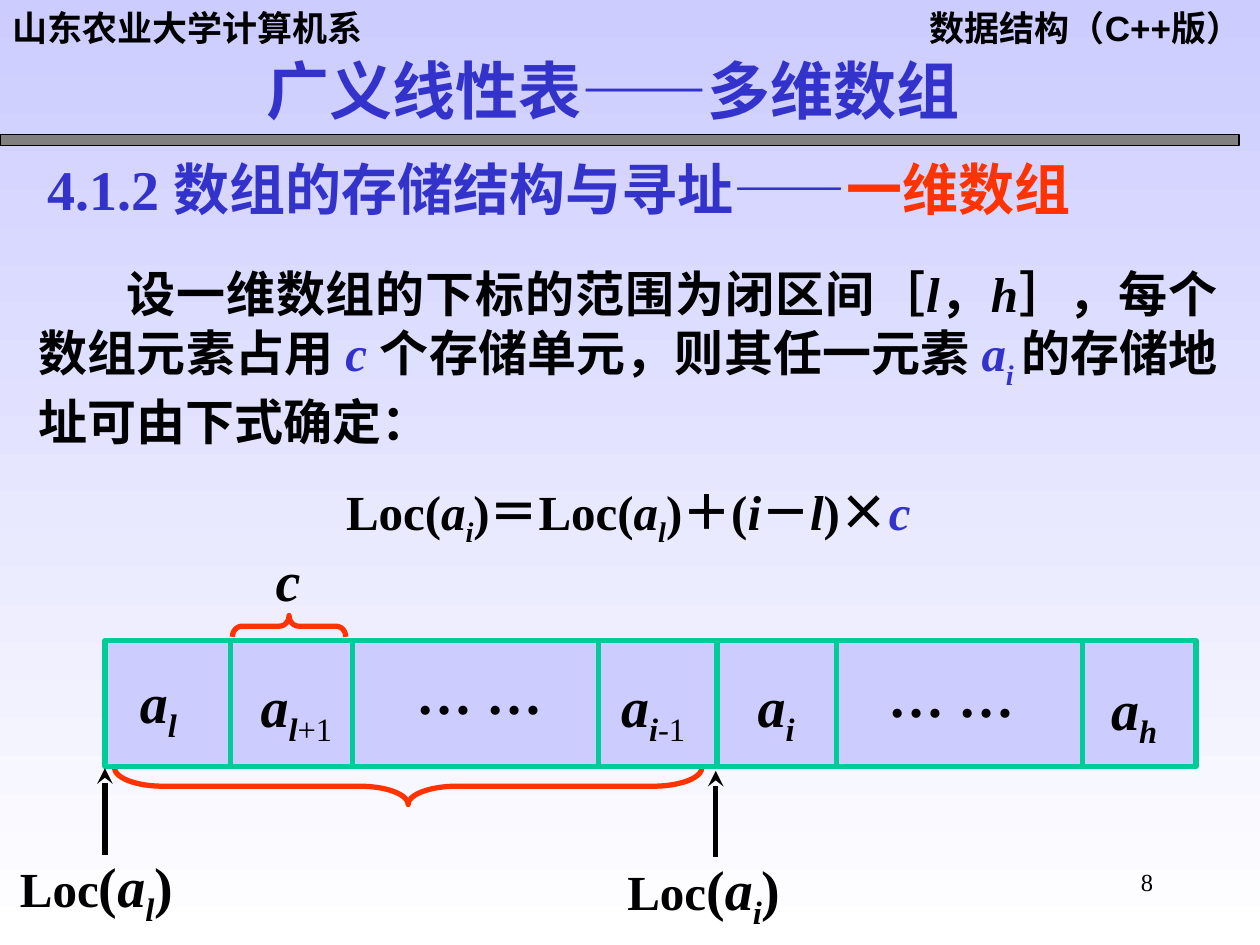
from dataclasses import dataclass

from lxml.etree import SubElement
from pptx import Presentation
from pptx.dml.color import RGBColor
from pptx.enum.shapes import MSO_CONNECTOR, MSO_SHAPE
from pptx.enum.text import MSO_ANCHOR, MSO_AUTO_SIZE, PP_ALIGN
from pptx.oxml import parse_xml
from pptx.oxml.ns import nsdecls, qn
from pptx.util import Pt


@dataclass(frozen=True)
class Theme:
    """Colours, fonts and type sizes of the page."""

    ink: str = "000000"
    blue: str = "3333CC"
    red: str = "FF3300"
    teal: str = "00CC99"
    lilac: str = "CCCCFF"
    white: str = "FFFFFF"
    grey: str = "808080"
    serif: str = "Times New Roman"
    sans: str = "Arial"
    chinese: str = "Noto Sans CJK SC"
    comic: str = "Comic Neue"
    number: int = 14
    header: int = 20
    body: int = 28
    large: int = 32
    title: int = 36
    line: int = 3


THEME = Theme()


@dataclass(frozen=True)
class Span:
    """A piece of text with one format."""

    text: str
    size: int = THEME.body
    font: str = THEME.serif
    color: str = THEME.ink
    bold: bool = True
    italic: bool = False
    baseline: int = 0


def variable(name, index="", size=THEME.body, color=THEME.ink, drop=-25):
    """Return an italic variable with an optional subscript."""
    spans = [Span(name, size, color=color, italic=True)]
    if index:
        spans.append(Span(index, size, color=color, italic=True, baseline=drop))
    return spans


def fill_para(para, spans, align=PP_ALIGN.LEFT):
    """Write formatted spans into a paragraph."""
    para.alignment = align
    para.space_before = Pt(0)
    for item in spans:
        span = para.add_run()
        span.text = item.text
        font = span.font
        font.size, font.name = Pt(item.size), item.font
        font.bold, font.italic = item.bold, item.italic
        font.color.rgb = RGBColor.from_string(item.color)
        properties = span._r.get_or_add_rPr()
        SubElement(properties, qn("a:ea")).set("typeface", THEME.chinese)
        if item.baseline:
            properties.set("baseline", str(item.baseline * 1000))


def place(shape, left, top, width, height):
    """Move and size a shape in points."""
    shape.left, shape.top = Pt(left), Pt(top)
    shape.width, shape.height = Pt(width), Pt(height)


def add_text(page, bounds, spans, align=PP_ALIGN.LEFT, margins=(7.2, 3.6)):
    """Add a wrapping text box and return its frame."""
    frame = page.shapes.add_textbox(*map(Pt, bounds)).text_frame
    frame.word_wrap = True
    frame.margin_left = frame.margin_right = Pt(margins[0])
    frame.margin_top = frame.margin_bottom = Pt(margins[1])
    fill_para(frame.paragraphs[0], spans, align)
    return frame


def set_title(page, text):
    """Format the title placeholder with its soft text shadow."""
    title = page.shapes.title
    place(title, 145, 26, 451.5, 50.4)
    frame = title.text_frame
    frame.auto_size = MSO_AUTO_SIZE.NONE
    frame.word_wrap = True
    frame.vertical_anchor = MSO_ANCHOR.TOP
    para = frame.paragraphs[0]
    fill_para(para, [Span(text, THEME.title, THEME.chinese, THEME.blue)])
    shadow = parse_xml(
        f'<a:effectLst {nsdecls("a")}><a:outerShdw dist="17961" dir="2700000">'
        f'<a:srgbClr val="{THEME.grey}"/></a:outerShdw></a:effectLst>'
    )
    para.runs[0]._r.rPr.find(qn("a:latin")).addprevious(shadow)


def add_box(page, bounds, fill, color, width):
    """Add a filled, outlined rectangle."""
    box = page.shapes.add_shape(MSO_SHAPE.RECTANGLE, *map(Pt, bounds))
    box.shadow.inherit = False
    box.fill.solid()
    box.fill.fore_color.rgb = RGBColor.from_string(fill)
    box.line.color.rgb = RGBColor.from_string(color)
    box.line.width = Pt(width)


def add_line(page, start, end, color, arrow=False):
    """Add a straight line, with an arrowhead at its end if asked."""
    line = page.shapes.add_connector(MSO_CONNECTOR.STRAIGHT, *map(Pt, start + end))
    line.line.color.rgb = RGBColor.from_string(color)
    line.line.width = Pt(THEME.line)
    if arrow:
        SubElement(line.line._get_or_add_ln(), qn("a:tailEnd")).set("type", "stealth")
    SubElement(line._element.spPr, qn("a:effectLst"))


def add_brace(page, kind, left, top, width, height, curve):
    """Add a horizontal brace that covers the given area."""
    brace = page.shapes.add_shape(kind, 0, 0, Pt(height), Pt(width))
    place(brace, left + (width - height) / 2, top + (height - width) / 2, height, width)
    brace.rotation = 270
    brace.adjustments[0] = curve
    brace.shadow.inherit = False
    brace.fill.background()
    brace.line.color.rgb = RGBColor.from_string(THEME.red)
    brace.line.width = Pt(THEME.line)


def add_body(page):
    """Add the explanation and the address formula."""
    cjk = THEME.chinese
    frame = add_text(page, (15, 147, 688, 170), [
        Span("设一维数组的下标的范围为闭区间"), Span("［", font=cjk),
        *variable("l"), Span("，"), *variable("h"),
        Span("］，每个数组元素占用 ", font=cjk), *variable("c ", color=THEME.blue),
        Span("个存储单元，则", font=cjk), Span("其"),
        Span("任一元", font=THEME.comic), Span("素 ", font=cjk),
        *variable("a", "i ", color=THEME.blue, drop=-30),
        Span("的存储地址可由下式确定："),
    ], PP_ALIGN.JUSTIFY)
    intro = frame.paragraphs[0]
    intro.space_after = Pt(17.5)
    intro._p.get_or_add_pPr().set("indent", str(Pt(50)))
    fill_para(frame.add_paragraph(), [
        Span("Loc("), *variable("a", "i"), Span(")"), Span("＝", font=cjk),
        Span("Loc("), *variable("a", "l"), Span(")"), Span("＋", font=cjk),
        Span("("), *variable("i"), Span("－", font=cjk), *variable("l"), Span(")"),
        Span("×", font=cjk), *variable("c", color=THEME.blue),
    ], PP_ALIGN.CENTER)


def add_array(page):
    """Draw the array cells with their element names."""
    left, top, width, height = 60, 366, 623.5, 72
    add_box(page, (left, top, width, height), THEME.lilac, THEME.teal, THEME.line)
    for x in (131.8, 201.6, 342, 409.7, 478, 618.5):
        add_line(page, (x, top), (x, top + height), THEME.teal)
    cells = ((80, 378, "l", ""), (149, 380, "l", "+1"), (355, 380, "i", "-1"),
             (433, 380, "i", ""), (635, 381.6, "h", ""))
    for x, y, index, offset in cells:
        spans = variable("a", index, THEME.large)
        if offset:
            spans.append(Span(offset, THEME.large, bold=False, baseline=-25))
        add_text(page, (x, y, 58, 51), spans, margins=(0, 3.6))
    for x, y in ((223.2, 373), (493.2, 374.4)):
        add_text(page, (x, y, 101.5, 46), [Span("… …", THEME.large)],
                 PP_ALIGN.CENTER, (0, 3.6))


def add_pointer(page, x, tip, label_left, index):
    """Add an address arrow and its label."""
    add_line(page, (x, tip + 49.5), (x, tip), THEME.ink, arrow=True)
    add_text(page, (label_left, tip + 47.7, 121.7, 44), [
        Span("Loc"), Span("(", THEME.large),
        *variable("a", index, THEME.large), Span(")", THEME.large),
    ], margins=(7.2, 0))


def main():
    """Build and save the deck."""
    deck = Presentation()
    deck.slide_width, deck.slide_height = Pt(720), Pt(540)
    page = deck.slides.add_slide(deck.slide_layouts[5])
    backdrop = page.background.fill
    backdrop.gradient()
    backdrop.gradient_angle = 270
    for stop, color in zip(backdrop.gradient_stops, (THEME.lilac, THEME.white)):
        stop.color.rgb = RGBColor.from_string(color)

    add_text(page, (521.3, 0, 195.1, 55.4),
             [Span("数据结构（C++版）", THEME.header, THEME.sans)], PP_ALIGN.RIGHT)
    add_text(page, (0, 0, 219, 32),
             [Span("山东农业大学计算机系", THEME.header, THEME.sans)])
    add_box(page, (0, 77, 708, 6), THEME.grey, THEME.ink, 0.75)
    add_text(page, (516, 492, 150, 36),
             [Span("8", THEME.number, bold=False)], PP_ALIGN.RIGHT)
    set_title(page, "广义线性表——多维数组")
    add_text(page, (20, 85, 636, 46), [
        Span("4.1.2 数组的存储结构与寻址——", THEME.large, color=THEME.blue),
        Span("一维数组", THEME.large, color=THEME.red),
    ])
    add_body(page)
    add_brace(page, MSO_SHAPE.LEFT_BRACE, 65.5, 438.8, 335.5, 20.9, 1.33)
    add_brace(page, MSO_SHAPE.RIGHT_BRACE, 132.8, 351.7, 64.8, 12.2, 0.45)
    add_text(page, (150.5, 311.8, 28, 38), variable("c", size=THEME.large),
             margins=(7.2, 0))
    add_array(page)
    add_pointer(page, 60, 439, 4.3, "l")
    add_pointer(page, 409, 440.5, 351.4, "i")
    deck.save("out.pptx")


if __name__ == "__main__":
    main()
